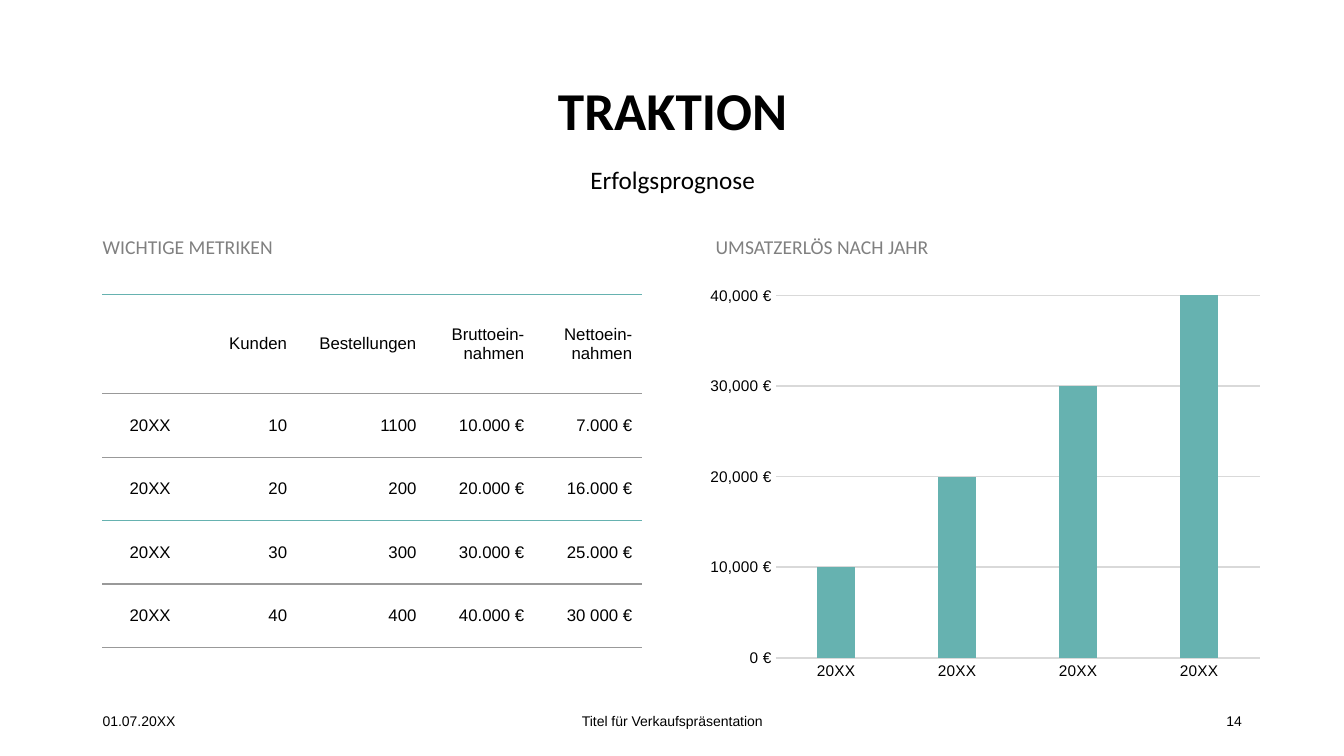
from lxml.etree import SubElement
from pptx import Presentation
from pptx.chart.data import CategoryChartData
from pptx.dml.color import RGBColor
from pptx.enum.chart import XL_CHART_TYPE, XL_TICK_MARK
from pptx.enum.text import MSO_ANCHOR, MSO_AUTO_SIZE, PP_ALIGN
from pptx.oxml.ns import qn
from pptx.util import Pt

BLACK = RGBColor(0, 0, 0)
GRAY = RGBColor(0x80, 0x80, 0x80)
RULE_GRAY = RGBColor(0x99, 0x99, 0x99)
GRID_GRAY = RGBColor(0xD9, 0xD9, 0xD9)
TEAL = RGBColor(0x66, 0xB2, 0xB0)

METRICS = [
    ["", "Kunden", "Bestellungen", "Bruttoein-nahmen", "Nettoein-nahmen"],
    ["20XX", "10", "1100", "10.000 €", "7.000 €"],
    ["20XX", "20", "200", "20.000 €", "16.000 €"],
    ["20XX", "30", "300", "30.000 €", "25.000 €"],
    ["20XX", "40", "400", "40.000 €", "30 000 €"],
]
COLUMN_WIDTHS = [68.6, 70.7, 92.4, 77.1, 77.1]
ROW_HEIGHTS = [71.1] + [45.3] * 4
# Colours of the horizontal rules, from above the header to below the last row
RULES = [TEAL, RULE_GRAY, RULE_GRAY, TEAL, RULE_GRAY, RULE_GRAY]
REVENUE = [10000, 20000, 30000, 40000]


def style_font(font, name, size, color=BLACK, bold=False):
    font.name, font.size, font.bold = name, Pt(size), bold
    font.color.rgb = color


def write(shape, box, text, font, size, color=BLACK, bold=False,
          align=PP_ALIGN.LEFT, anchor=MSO_ANCHOR.MIDDLE, spacing=1.0):
    """Move the shape to box (left, top, width, height) and fill in one paragraph."""
    shape.left, shape.top, shape.width, shape.height = map(Pt, box)
    frame = shape.text_frame
    frame.text = text
    frame.word_wrap = True
    frame.auto_size = MSO_AUTO_SIZE.NONE
    frame.vertical_anchor = anchor
    para = frame.paragraphs[0]
    para.alignment, para.line_spacing = align, spacing
    para.space_before = Pt(0)
    style_font(para.runs[0].font, font, size, color, bold)
    return para


def add_titles(page, box):
    left, top, width, height = box
    write(page.shapes.title, (left, top, width, 50.4), "TRAKTION", "Calibri", 38,
          bold=True, align=PP_ALIGN.CENTER, spacing=0.9)
    subtitle = write(page.placeholders[2], (left, top + 54, width, height - 54),
                     "Erfolgsprognose", "Calibri", 18, align=PP_ALIGN.CENTER,
                     anchor=MSO_ANCHOR.TOP, spacing=Pt(26))
    properties = subtitle._p.get_or_add_pPr()
    properties.set("marL", "0")
    properties.set("indent", "0")
    SubElement(properties, qn("a:buNone"))


def add_heading(placeholder, box, text):
    write(placeholder, box, text, "Calibri", 14, GRAY,
          anchor=MSO_ANCHOR.BOTTOM, spacing=0.9)


def set_cell_borders(cell, above, below):
    properties = cell._tc.get_or_add_tcPr()
    for side, color in (("L", None), ("R", None), ("T", above), ("B", below)):
        line = SubElement(properties, qn(f"a:ln{side}"), w=str(Pt(1)))
        if color is None:
            SubElement(line, qn("a:noFill"))
        else:
            fill = SubElement(line, qn("a:solidFill"))
            SubElement(fill, qn("a:srgbClr"), val=str(color))


def add_metrics_table(page, box):
    table = page.shapes.add_table(len(METRICS), len(METRICS[0]), *map(Pt, box)).table
    table.first_row = table.horz_banding = False
    for column, width in zip(table.columns, COLUMN_WIDTHS):
        column.width = Pt(width)
    for row_index, values in enumerate(METRICS):
        table.rows[row_index].height = Pt(ROW_HEIGHTS[row_index])
        for column_index, value in enumerate(values):
            cell = table.cell(row_index, column_index)
            cell.text = value
            cell.vertical_anchor = MSO_ANCHOR.MIDDLE
            set_cell_borders(cell, RULES[row_index], RULES[row_index + 1])
            cell.fill.background()
            para = cell.text_frame.paragraphs[0]
            para.alignment = PP_ALIGN.RIGHT if column_index else PP_ALIGN.CENTER
            style_font(para.font, "Arial", 12)
            for span in para.runs:
                style_font(span.font, "Arial", 12)


def set_plot_area(chart, **fractions):
    """Fix the inner plot area as fractions of the chart."""
    plot_area = chart._chartSpace.chart.plotArea
    for old in plot_area.findall(qn("c:layout")):
        plot_area.remove(old)
    layout = SubElement(plot_area, qn("c:layout"))
    plot_area.insert(0, layout)
    manual = SubElement(layout, qn("c:manualLayout"))
    settings = {"layoutTarget": "inner", "xMode": "edge", "yMode": "edge", **fractions}
    for name, value in settings.items():
        SubElement(manual, qn(f"c:{name}"), val=str(value))


def add_revenue_chart(page, box):
    data = CategoryChartData()
    data.categories = ["20XX"] * len(REVENUE)
    data.add_series("Series 1", REVENUE)
    chart = page.shapes.add_chart(XL_CHART_TYPE.COLUMN_CLUSTERED, *map(Pt, box), data).chart
    chart.has_legend = chart.has_title = False
    style_font(chart.font, "Arial", 10)
    set_plot_area(chart, x=0.13, y=0.04, w=0.85, h=0.89)

    plot = chart.plots[0]
    plot.gap_width, plot.overlap, plot.vary_by_categories = 219, -27, False
    fill = plot.series[0].format.fill
    fill.solid()
    fill.fore_color.rgb = TEAL

    years, amounts = chart.category_axis, chart.value_axis
    for axis in (years, amounts):
        axis.major_tick_mark = axis.minor_tick_mark = XL_TICK_MARK.NONE
        style_font(axis.tick_labels.font, "Arial", 11)
    amounts.minimum_scale, amounts.maximum_scale = 0, 40000
    amounts.major_unit = 10000
    amounts.tick_labels.number_format = '#,##0\\ "€"'
    amounts.tick_labels.number_format_is_linked = False
    amounts.format.line.fill.background()
    for line in (years.format.line, amounts.major_gridlines.format.line):
        line.color.rgb = GRID_GRAY
        line.width = Pt(1.25)


def add_footer(page, box):
    left, top, width, height = box
    parts = [
        (left, 216, "01.07.20XX", PP_ALIGN.LEFT),
        (left + (width - 324) / 2, 324, "Titel für Verkaufspräsentation", PP_ALIGN.CENTER),
        (left + width - 216, 216, "14", PP_ALIGN.RIGHT),
    ]
    for part_left, part_width, text, align in parts:
        part_box = (part_left, top, part_width, height)
        shape = page.shapes.add_textbox(*map(Pt, part_box))
        write(shape, part_box, text, "Arial", 10, align=align)


def main():
    deck = Presentation()
    deck.slide_width, deck.slide_height = Pt(960), Pt(540)
    page = deck.slides.add_slide(deck.slide_layouts[4])
    unused = page.placeholders[4].element
    unused.getparent().remove(unused)

    add_titles(page, (124, 55.4, 713, 85))
    add_heading(page.placeholders[1], (66.2, 157.7, 406, 31), "WICHTIGE METRIKEN")
    add_metrics_table(page, (73, 210.2, sum(COLUMN_WIDTHS), sum(ROW_HEIGHTS)))
    add_heading(page.placeholders[3], (504, 157.7, 341.3, 31), "UMSATZERLÖS NACH JAHR")
    add_revenue_chart(page, (501.1, 199.4, 406.8, 290.9))
    add_footer(page, (66.2, 500.4, 828, 28.8))
    deck.save("out.pptx")


if __name__ == "__main__":
    main()
